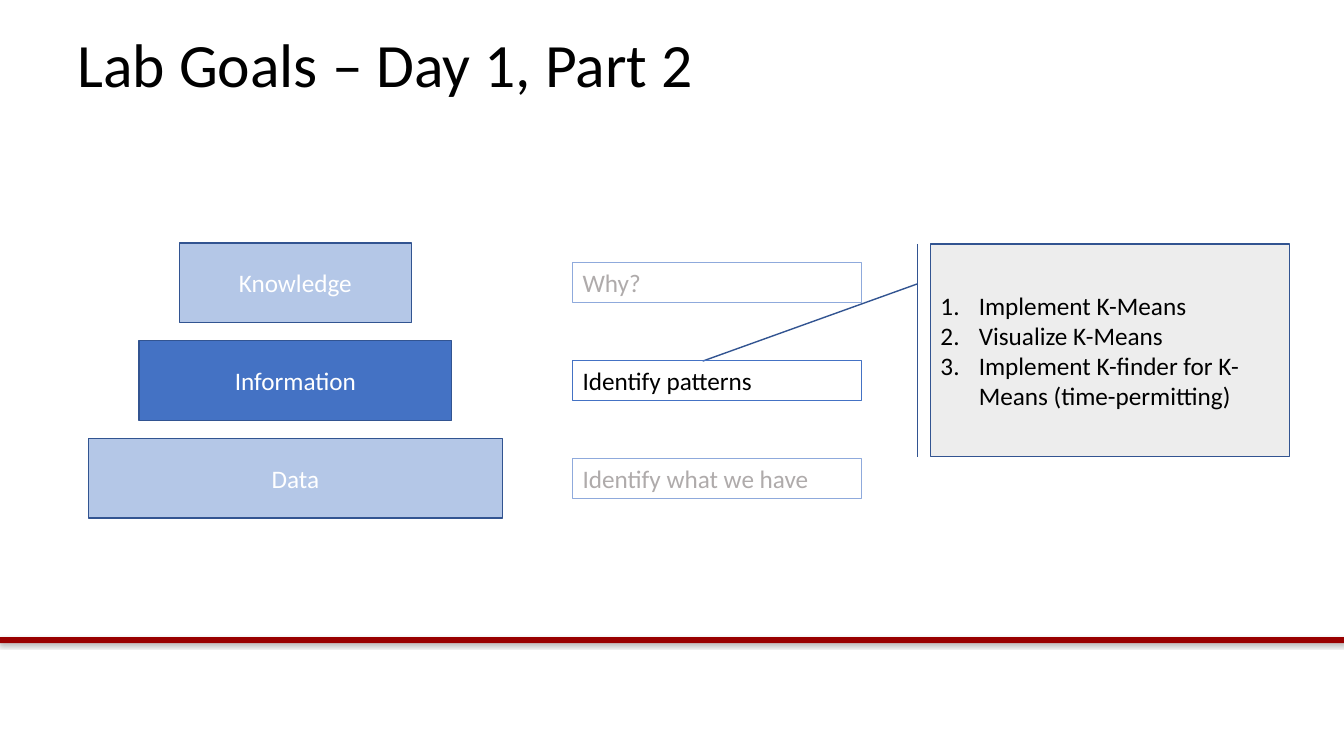
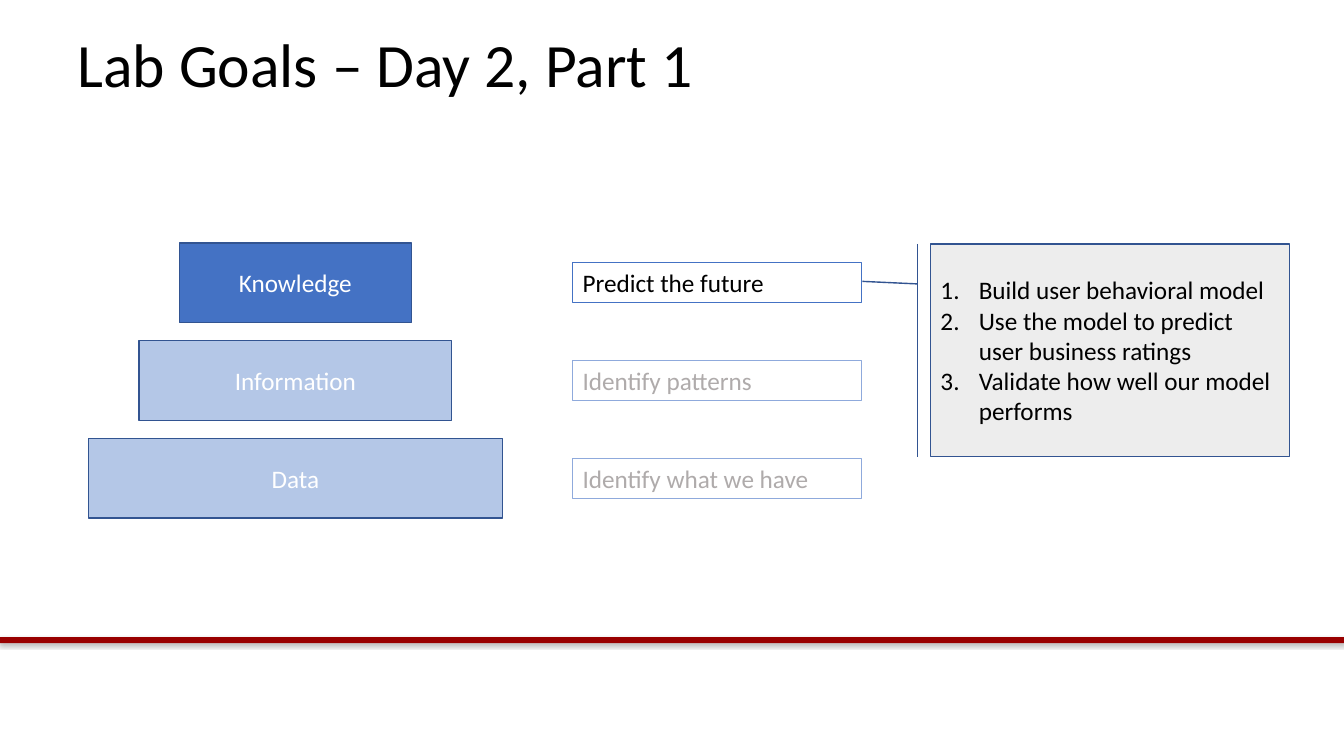
from lxml import etree
from pptx import Presentation
from pptx.dml.color import RGBColor
from pptx.enum.shapes import MSO_SHAPE
from pptx.enum.text import MSO_ANCHOR, MSO_AUTO_SIZE, PP_ALIGN
from pptx.oxml.ns import qn
from pptx.util import Inches, Pt

RECT = MSO_SHAPE.RECTANGLE
CALLOUT = MSO_SHAPE.LINE_CALLOUT_1_BORDER_AND_ACCENT_BAR
MIDDLE, TOP = MSO_ANCHOR.MIDDLE, MSO_ANCHOR.TOP
LEFT, CENTER = PP_ALIGN.LEFT, PP_ALIGN.CENTER
GROW = MSO_AUTO_SIZE.SHAPE_TO_FIT_TEXT

BLACK = RGBColor(0x00, 0x00, 0x00)
WHITE = RGBColor(0xFF, 0xFF, 0xFF)
RED = RGBColor(0x99, 0x00, 0x00)
BLUE = RGBColor(0x44, 0x72, 0xC4)
PALE = RGBColor(0xB4, 0xC7, 0xE7)
SOFT = RGBColor(0x8F, 0xAA, 0xDC)
NAVY = RGBColor(0x32, 0x54, 0x91)
LIGHT = RGBColor(0xED, 0xED, 0xED)
GRAY = RGBColor(0xAF, 0xAB, 0xAB)

FONT = "Calibri"
WIDTH, HEIGHT = 13.33, 7.5
PITCH, TIER, STEP = 0.97, 0.79, 0.4  # row pitch, tier height, step height
TIERS = [("Knowledge", 2.3), ("Information", 3.1), ("Data", 4.11)]

# Title, active row, steps, callout pointer (y, x as shares of its box), goals
SLIDES = [
    ("Lab Goals – Day 1, Part 2", 1,
     ["Why?", "Identify patterns", "Identify what we have"],
     (0.551, -0.635),
     ["Implement K-Means", "Visualize K-Means",
      "Implement K-finder for K-Means (time-permitting)"]),
    ("Lab Goals – Day 2, Part 1", 0,
     ["Predict the future", "Identify patterns", "Identify what we have"],
     (0.176, -0.19),
     ["Build user behavioral model",
      "Use the model to predict user business ratings",
      "Validate how well our model performs"]),
]


def add_box(slide, kind, box, fill=None, line=None, weight=1):
    shape = slide.shapes.add_shape(kind, *map(Inches, box))
    shape.shadow.inherit = False
    if fill is None:
        shape.fill.background()
    else:
        shape.fill.solid()
        shape.fill.fore_color.rgb = fill
    if line is None:
        shape.line.fill.background()
    else:
        shape.line.color.rgb = line
        shape.line.width = Pt(weight)
    return shape


def write(shape, lines, color, size=18, align=LEFT, anchor=MIDDLE):
    frame = shape.text_frame
    frame.word_wrap = True
    frame.vertical_anchor = anchor
    frame.text = "\n".join(lines)
    for para in frame.paragraphs:
        para.alignment = align
        para.font.name = FONT
        para.font.size = Pt(size)
        para.font.color.rgb = color
    return frame


def add_frame(slide, title):
    # Red band with a soft shadow
    band = add_box(slide, RECT, (0, 6.32, WIDTH, 0.06), RED)
    effects = band._element.spPr.find(qn("a:effectLst"))
    shadow = etree.SubElement(effects, qn("a:outerShdw"), blurRad=str(Pt(3)),
                              dist=str(Pt(1.6)), dir="5400000", rotWithShape="0")
    color = etree.SubElement(shadow, qn("a:srgbClr"), val="000000")
    etree.SubElement(color, qn("a:alpha"), val="38000")
    # Title
    box = slide.shapes.add_textbox(*map(Inches, (0.67, 0.1, 12, 1.14)))
    write(box, [title], BLACK, 44).paragraphs[0].line_spacing = 0.9


def add_goals(slide, box, goals, tip):
    note = add_box(slide, CALLOUT, box, LIGHT, NAVY)
    for i, value in enumerate((0.188, -0.037, *tip)):
        note.adjustments[i] = value
    # Numbered list with a hanging indent
    for para in write(note, goals, BLACK).paragraphs:
        props = para._p.get_or_add_pPr()
        props.set("marL", str(Inches(0.38)))
        props.set("indent", str(-Inches(0.38)))
        etree.SubElement(props, qn("a:buFont"), typeface="+mj-lt")
        etree.SubElement(props, qn("a:buAutoNum"), type="arabicPeriod")
        # Bullets precede the default run properties
        props.append(props.find(qn("a:defRPr"))) if props.find(
            qn("a:defRPr")) is not None else None


def add_tiers(slide, mid, top, active):
    for i, (name, width) in enumerate(TIERS):
        box = (mid - width / 2, top + i * PITCH, width, TIER)
        tier = add_box(slide, RECT, box, BLUE if i == active else PALE, NAVY)
        write(tier, [name], WHITE, align=CENTER)


def add_steps(slide, left, top, width, steps, active):
    for i, text in enumerate(steps):
        line, color = (BLUE, BLACK) if i == active else (SOFT, GRAY)
        box = (left, top + i * PITCH + (TIER - STEP) / 2, width, STEP)
        step = add_box(slide, RECT, box, line=line, weight=0.75)
        write(step, [text], color, anchor=TOP).auto_size = GROW


def add_lab(deck, title, active, steps, tip, goals):
    slide = deck.slides.add_slide(deck.slide_layouts[6])
    add_frame(slide, title)
    add_goals(slide, (9.23, 2.42, 3.56, 2.11), goals, tip)
    add_tiers(slide, 2.93, 2.41, active)
    add_steps(slide, 5.68, 2.41, 2.87, steps, active)


def main():
    deck = Presentation()
    deck.slide_width, deck.slide_height = Inches(WIDTH), Inches(HEIGHT)
    for lab in SLIDES:
        add_lab(deck, *lab)
    deck.save("out.pptx")


if __name__ == "__main__":
    main()
